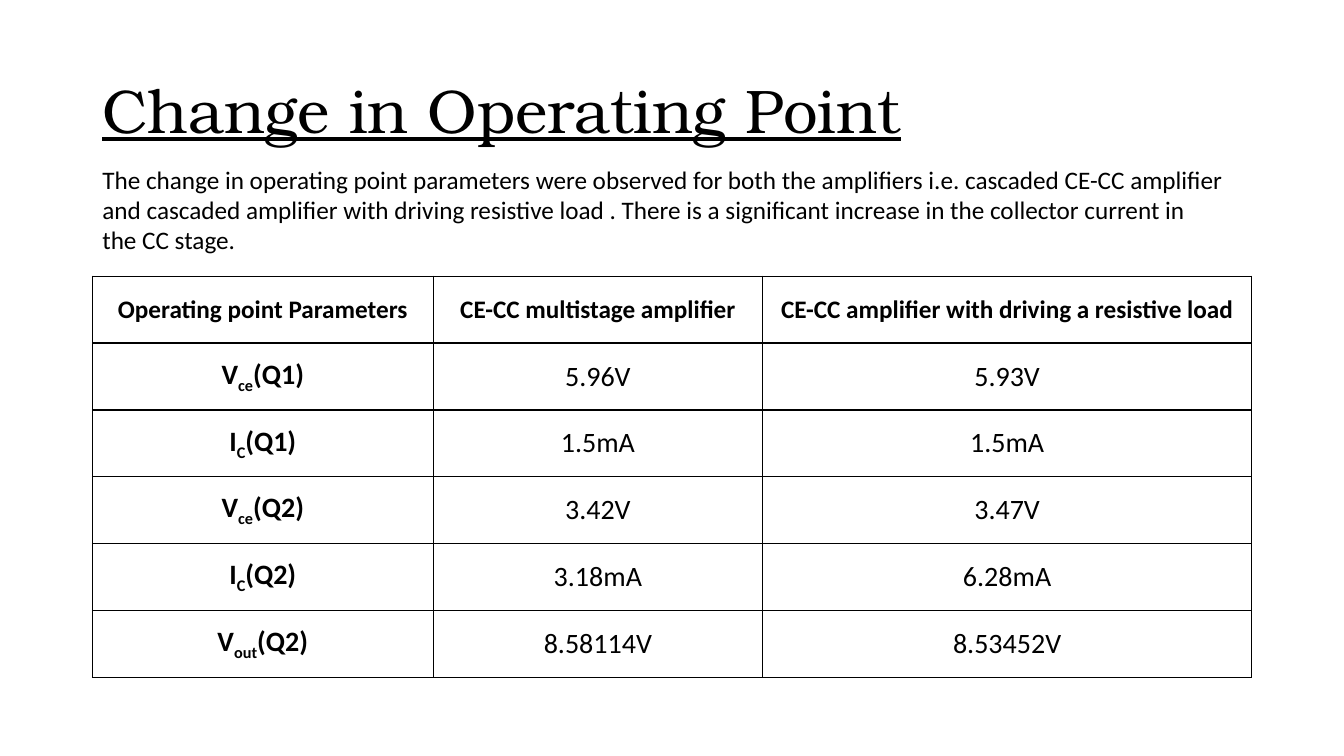
import pptx
import pptx.dml.color
import pptx.enum.text
import pptx.oxml
import pptx.oxml.ns
import pptx.util
from dataclasses import dataclass

SLIDE_W = pptx.util.Inches(13.333)
SLIDE_H = pptx.util.Inches(7.5)
MIDDLE = pptx.enum.text.MSO_ANCHOR.MIDDLE
CENTER = pptx.enum.text.PP_ALIGN.CENTER


@dataclass(frozen=True)
class Theme:
    ink: str = "000000"
    title_font: str = "TeX Gyre Bonum"
    body_font: str = "Calibri"
    title_size: int = 44
    body_size: int = 18
    value_size: int = 20
    border_pt: int = 1
    subscript: str = "-25000"


THEME = Theme()

TITLE = "Change in Operating Point"
SUMMARY = (
    "The change in operating point parameters were observed for both the "
    "amplifiers i.e. cascaded CE-CC amplifier and cascaded amplifier with "
    "driving resistive load . There is a significant increase in the "
    "collector current in the CC stage."
)
HEADERS = [
    "Operating point Parameters",
    "CE-CC multistage amplifier",
    "CE-CC amplifier with driving a resistive load",
]
# Symbol, subscript, transistor, then the value for each amplifier
READINGS = [
    ("V", "ce", "(Q1)", "5.96V", "5.93V"),
    ("I", "C", "(Q1)", "1.5mA", "1.5mA"),
    ("V", "ce", "(Q2)", "3.42V", "3.47V"),
    ("I", "C", "(Q2)", "3.18mA", "6.28mA"),
    ("V", "out", "(Q2)", "8.58114V", "8.53452V"),
]
COLUMN_WEIGHTS = [3.38, 3.27, 4.85]


def area(left, top, width, height):
    """Turn percentages of the slide into a position and size."""
    return (
        int(SLIDE_W * left / 100),
        int(SLIDE_H * top / 100),
        int(SLIDE_W * width / 100),
        int(SLIDE_H * height / 100),
    )


def style_run(r, size, font=THEME.body_font, bold=False):
    r.font.name = font
    r.font.size = pptx.util.Pt(size)
    r.font.bold = bold
    r.font.color.rgb = pptx.dml.color.RGBColor.from_string(THEME.ink)


def add_text(slide, place, text, size, font=THEME.body_font):
    tf = slide.shapes.add_textbox(*place).text_frame
    tf.word_wrap = True
    tf.text = text
    style_run(tf.paragraphs[0].runs[0], size, font)
    return tf


def add_title(slide, place, text):
    tf = add_text(slide, place, text, THEME.title_size, THEME.title_font)
    tf.vertical_anchor = MIDDLE
    p = tf.paragraphs[0]
    p.line_spacing = 0.9
    p.runs[0].font.underline = True


def set_borders(cell):
    tc_pr = cell._tc.get_or_add_tcPr()
    width = pptx.util.Pt(THEME.border_pt)
    for position, side in enumerate(("lnL", "lnR", "lnT", "lnB")):
        line = pptx.oxml.parse_xml(
            f'<a:{side} {pptx.oxml.ns.nsdecls("a")} w="{width}"><a:solidFill>'
            f'<a:srgbClr val="{THEME.ink}"/></a:solidFill></a:{side}>'
        )
        tc_pr.insert(position, line)


def fill_cell(cell, parts, size, bold):
    """Write the parts as runs; the second part, if any, is a subscript."""
    cell.fill.background()
    cell.vertical_anchor = MIDDLE
    set_borders(cell)
    p = cell.text_frame.paragraphs[0]
    p.alignment = CENTER
    for i, part in enumerate(parts):
        r = p.add_run()
        r.text = part
        style_run(r, size, bold=bold)
        if i == 1:
            r.font._element.set("baseline", THEME.subscript)


def add_readings_table(slide, place):
    width, height = place[2:]
    row_count = len(READINGS) + 1
    table = slide.shapes.add_table(row_count, len(HEADERS), *place).table
    table.horz_banding = False
    for column, weight in zip(table.columns, COLUMN_WEIGHTS):
        column.width = int(width * weight / sum(COLUMN_WEIGHTS))
    for row in table.rows:
        row.height = height // row_count

    for col, header in enumerate(HEADERS):
        fill_cell(table.cell(0, col), [header], THEME.body_size, True)
    for row, (*symbol, plain, loaded) in enumerate(READINGS, start=1):
        for col, parts in enumerate((symbol, [plain], [loaded])):
            fill_cell(table.cell(row, col), parts, THEME.value_size, col == 0)


def main():
    prs = pptx.Presentation()
    prs.slide_width, prs.slide_height = SLIDE_W, SLIDE_H
    slide = prs.slides.add_slide(prs.slide_layouts[6])
    add_title(slide, area(6.88, 5.32, 86.25, 19.33), TITLE)
    add_readings_table(slide, area(6.88, 36.53, 86.25, 53.1))
    add_text(slide, area(6.88, 21.07, 85, 13.47), SUMMARY, THEME.body_size)
    prs.save("out.pptx")


if __name__ == "__main__":
    main()
